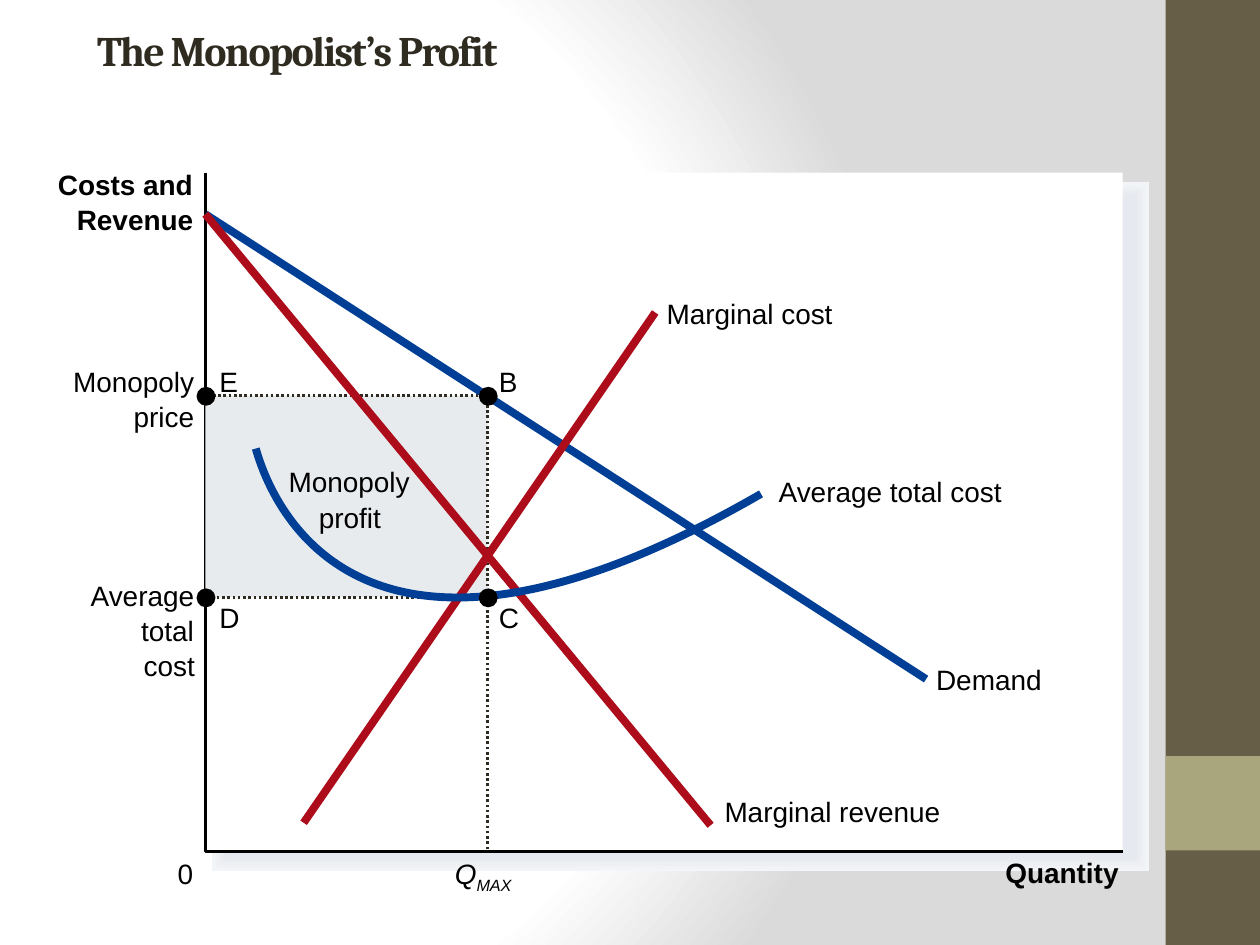
import pptx
import pptx.util
import pptx.dml.color
import pptx.enum.dml
import pptx.enum.shapes
import pptx.enum.text
import pptx.oxml
import pptx.oxml.ns
from pptx.util import Inches

BLACK, DARK, BLUE, RED = "000000", "2F2B20", "003F95", "AD0D1B"
SHAPES = pptx.enum.shapes.MSO_SHAPE
DOTTED = pptx.enum.dml.MSO_LINE.ROUND_DOT

# Key positions in the diagram, in inches
AXIS_X, AXIS_Y = 1.63, 6.76
QUANTITY_X = 3.87
PRICE_Y, COST_Y = 3.14, 4.74
DEMAND_START = (AXIS_X, 1.7)
DOT_SIZE = 0.15
ROW = 0.28

# Panel shadow, from the widest outline to the narrowest
HALO_COLORS = ["F3F6F9", "F2F4F8", "F1F4F7", "F0F2F5", "EEF1F4", "EDEFF3",
               "EBEEF2", "EAECF1", "E9EBF0", "E7EAEF", "E6E9EF"]

# Text, left, top, width, bold
LABELS = [
    ("Monopoly", 2.29, 3.69, 0.96, False),
    ("profit", 2.53, 3.69 + ROW, 0.49, False),
    ("Average", 0.72, 4.59, 0.83, False),
    ("total", 1.12, 4.59 + ROW, 0.42, False),
    ("cost", 1.14, 4.59 + 2 * ROW, 0.41, False),
    ("Quantity", 7.98, 6.79, 0.9, True),
    ("Monopoly", 0.58, 2.89, 0.96, False),
    ("price", 1.06, 2.89 + ROW, 0.48, False),
    ("0", 1.41, 6.8, 0.12, False),
    ("Costs and", 0.46, 1.33, 1.07, True),
    ("Revenue", 0.61, 1.33 + ROW, 0.92, True),
    ("Demand", 7.43, 5.26, 0.84, False),
    ("Marginal cost", 5.29, 2.35, 1.32, False),
    ("Marginal revenue", 5.75, 6.31, 1.72, False),
    ("Average total cost", 6.18, 3.77, 1.78, False),
    ("B", 3.96, 2.89, 0.15, False),
    ("C", 3.96, 4.77, 0.16, False),
    ("E", 1.74, 2.89, 0.15, False),
    ("D", 1.74, 4.77, 0.16, False),
]


def color(hex_string):
    return pptx.dml.color.RGBColor.from_string(hex_string)


def element(tag, **attributes):
    new_element = pptx.oxml.parse_xml(f"<a:{tag} {pptx.oxml.ns.nsdecls('a')}/>")
    for name, value in attributes.items():
        new_element.set(name, str(value))
    return new_element


def style_line(line, line_color, width, dash=None):
    line.color.rgb = color(line_color)
    line.width = pptx.util.Pt(width)
    if dash is not None:
        line.dash_style = dash


def style_font(font, name, size, font_color, bold):
    font.name = name
    font.size = pptx.util.Pt(size)
    font.color.rgb = color(font_color)
    font.bold = bold


def set_background(slide):
    fill = slide.background.fill
    fill.gradient()
    gradient = fill._xPr.find(pptx.oxml.ns.qn("a:gradFill"))
    for child in list(gradient):
        gradient.remove(child)
    stops = element("gsLst")
    for position, stop_color in [(0, "FFFFFF"), (75, "FFFFFF"), (100, "DADADA")]:
        stop = element("gs", pos=position * 1000)
        stop.append(element("srgbClr", val=stop_color))
        stops.append(stop)
    circle = element("path", path="circle")
    circle.append(element("fillToRect", l=20000, t=50000, r=100000, b=50000))
    gradient.extend([stops, circle])


def add_block(slide, left, top, width, height, fill, preset=SHAPES.RECTANGLE):
    shape = slide.shapes.add_shape(
        preset, Inches(left), Inches(top), Inches(width), Inches(height))
    shape.shadow.inherit = False
    shape.fill.solid()
    shape.fill.fore_color.rgb = color(fill)
    shape.line.fill.background()
    return shape


def add_line(slide, start, end, line_color, width, dash=None):
    connector = slide.shapes.add_connector(
        pptx.enum.shapes.MSO_CONNECTOR.STRAIGHT,
        *(Inches(value) for value in start + end))
    style_line(connector.line, line_color, width, dash)
    connector._element.spPr.append(element("effectLst"))


def add_outline(slide, points, line_color, width, dash=None):
    corners = [(Inches(x), Inches(y)) for x, y in points]
    builder = slide.shapes.build_freeform(*corners[0])
    builder.add_line_segments(corners[1:], close=False)
    shape = builder.convert_to_shape()
    shape.shadow.inherit = False
    shape.fill.background()
    style_line(shape.line, line_color, width, dash)
    return shape


def add_curve(slide, points, line_color, width):
    """Draw one cubic curve: start, two control points and end."""
    shape = add_outline(slide, points, line_color, width)
    segments = list(shape._element.iter(pptx.oxml.ns.qn("a:lnTo")))
    curve = element("cubicBezTo")
    segments[0].addprevious(curve)
    for segment in segments:
        curve.append(segment[0])
        segment.getparent().remove(segment)


def add_label(slide, text, left, top, width, bold=False):
    # A little spare width keeps each label on one line
    box = slide.shapes.add_textbox(
        Inches(left), Inches(top), Inches(width + 0.03), Inches(0.27))
    frame = box.text_frame
    frame.margin_left = frame.margin_right = 0
    frame.margin_top = frame.margin_bottom = 0
    frame.word_wrap = False
    frame.auto_size = pptx.enum.text.MSO_AUTO_SIZE.SHAPE_TO_FIT_TEXT
    paragraph = frame.paragraphs[0]
    paragraph.alignment = pptx.enum.text.PP_ALIGN.LEFT
    paragraph.add_run().text = text
    style_font(paragraph.font, "Arial", 16, BLACK, bold)
    return paragraph


def add_title(slide):
    title = slide.shapes.title
    title.left, title.top = Inches(0.67), Inches(0.06)
    title.width, title.height = Inches(9), Inches(0.75)
    title.text_frame.vertical_anchor = pptx.enum.text.MSO_ANCHOR.MIDDLE
    paragraph = title.text_frame.paragraphs[0]
    paragraph.alignment = pptx.enum.text.PP_ALIGN.LEFT
    paragraph.line_spacing = 0.8
    run = paragraph.add_run()
    run.text = "The Monopolist’s Profit"
    style_font(paragraph.font, "Cambria", 24, DARK, True)
    run._r.get_or_add_rPr().set("spc", "-100")


def add_panel(slide):
    # Soft shadow made of ever narrower outlines
    for step, halo_color in enumerate(HALO_COLORS):
        halo = add_block(slide, 1.8, 1.56, 7.2, 5.24, halo_color)
        style_line(halo.line, halo_color, 16.75 - 1.525 * step)
        halo.line._ln.append(element("miter", lim=800000))
    # White plot area and axes
    add_block(slide, AXIS_X, 1.37, 7.28, 5.39, "FFFFFF")
    add_outline(slide, [(AXIS_X, 1.37), (AXIS_X, AXIS_Y), (8.91, AXIS_Y)], BLACK, 1.5)


def add_diagram(slide):
    # Profit area and its dotted guides
    add_block(slide, AXIS_X, PRICE_Y, QUANTITY_X - AXIS_X, COST_Y - PRICE_Y, "E7EBEE")
    add_line(slide, (QUANTITY_X, COST_Y), (AXIS_X, COST_Y), DARK, 1.5, DOTTED)
    add_outline(slide, [(QUANTITY_X, 6.74), (QUANTITY_X, PRICE_Y), (AXIS_X, PRICE_Y)],
                DARK, 1.5, DOTTED)
    # Demand, marginal cost, marginal revenue, average total cost
    add_line(slide, DEMAND_START, (7.35, 5.39), BLUE, 4.5)
    add_line(slide, (5.2, 2.48), (2.41, 6.53), RED, 4.5)
    add_line(slide, DEMAND_START, (5.64, 6.55), RED, 4.5)
    add_curve(slide, [(2.03, 3.56), (2.16, 4.02), (2.87, 5.75), (6.04, 3.92)], BLUE, 4.5)
    # Corner points of the profit area
    for x in (AXIS_X, QUANTITY_X):
        for y in (PRICE_Y, COST_Y):
            add_block(slide, x - 0.07, y - 0.07, DOT_SIZE, DOT_SIZE, BLACK, SHAPES.OVAL)


def add_labels(slide):
    for label in LABELS:
        add_label(slide, *label)
    paragraph = add_label(slide, "Q", 3.61, 6.8, 0.51)
    paragraph.font.italic = True
    subscript = paragraph.add_run()
    subscript.text = "MAX"
    subscript.font._element.set("baseline", "-25000")


def main():
    presentation = pptx.Presentation()
    presentation.slide_width, presentation.slide_height = Inches(10), Inches(7.5)
    slide = presentation.slides.add_slide(presentation.slide_layouts[5])
    set_background(slide)
    # Side band
    add_block(slide, 9.25, 0, 0.75, 7.5, "675E47")
    add_block(slide, 9.25, 6, 0.75, 0.75, "A9A57C")
    add_title(slide)
    add_panel(slide)
    add_diagram(slide)
    add_labels(slide)
    presentation.save("out.pptx")


if __name__ == "__main__":
    main()
